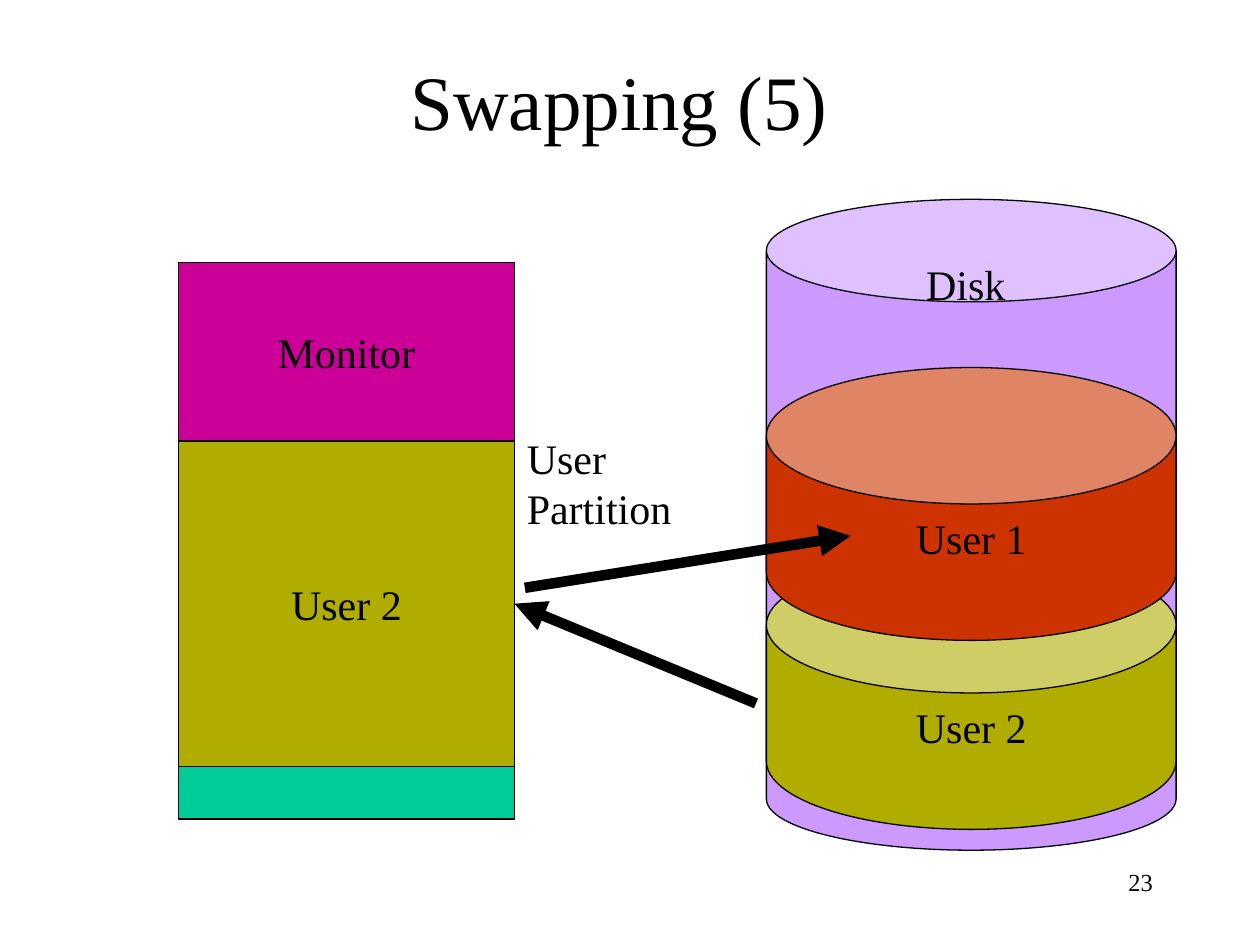
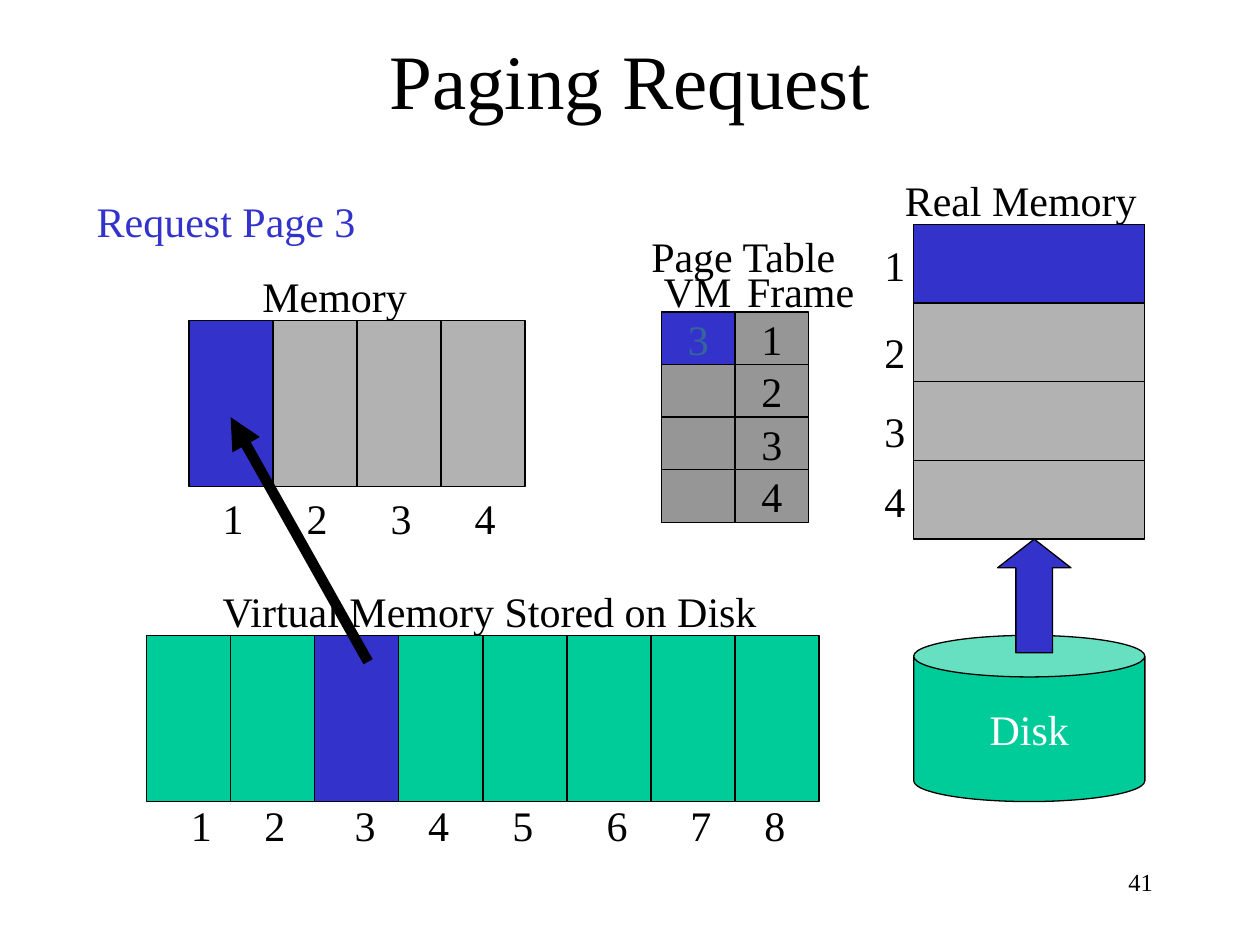
from dataclasses import dataclass

from lxml import etree
from pptx import Presentation
from pptx import util as u
from pptx.dml.color import RGBColor
from pptx.enum import shapes, text
from pptx.oxml import ns


@dataclass(frozen=True)
class Theme:
    font: str = "Times New Roman"
    title_size: int = 44
    body_size: int = 24
    number_size: int = 14
    outline: float = 0.75
    arrow: float = 6
    ink: str = "000000"
    paper: str = "FFFFFF"
    free: str = "00CC99"
    monitor: str = "CC0099"
    disk: str = "CC99FF"
    user_1: str = "CC3300"
    user_2: str = "B0AC00"
    active: str = "3333CC"
    active_text: str = "336699"
    frame: str = "B2B2B2"
    entry: str = "969696"


THEME = Theme()
RECT = shapes.MSO_SHAPE.RECTANGLE
CAN = shapes.MSO_SHAPE.CAN
UP_ARROW = shapes.MSO_SHAPE.UP_ARROW
LEFT, CENTER, RIGHT = (text.PP_ALIGN.LEFT, text.PP_ALIGN.CENTER,
                       text.PP_ALIGN.RIGHT)
MIDDLE, TOP = text.MSO_ANCHOR.MIDDLE, text.MSO_ANCHOR.TOP
LABEL_HEIGHT = 1.27
DIGIT_WIDTH = 0.91


def apply_format(target, values):
    for name, value in values.items():
        setattr(target, name, value)


def lengths(*values):
    return [u.Cm(value) for value in values]


def write(shape, words, align, anchor, size=THEME.body_size,
          color=THEME.ink, wrap=False):
    frame = shape.text_frame
    apply_format(frame, {"text": words, "word_wrap": wrap,
                         "vertical_anchor": anchor})
    for para in frame.paragraphs:
        para.alignment = align
        apply_format(para.font, {"name": THEME.font, "size": u.Pt(size)})
        para.font.color.rgb = RGBColor.from_string(color)


def add_text(page, words, area, align=LEFT, anchor=TOP, **style):
    box = page.shapes.add_textbox(*lengths(*area))
    write(box, words, align, anchor, **style)
    return box


def add_label(page, words, left, top, width, height=LABEL_HEIGHT, **style):
    box = add_text(page, words, (left, top, width, height), **style)
    box.text_frame.auto_size = text.MSO_AUTO_SIZE.SHAPE_TO_FIT_TEXT


def add_block(page, kind, area, fill, words="", color=THEME.ink, adjust=()):
    block = page.shapes.add_shape(kind, *lengths(*area))
    block.shadow.inherit = False
    block.fill.solid()
    block.fill.fore_color.rgb = RGBColor.from_string(fill)
    block.line.color.rgb = RGBColor.from_string(THEME.ink)
    block.line.width = u.Pt(THEME.outline)
    for index, value in enumerate(adjust):
        block.adjustments[index] = value
    if words:
        write(block, words, CENTER, MIDDLE, color=color)
    return block


def add_grid(page, left, top, width, height, fills, columns):
    for index, fill in enumerate(fills):
        row, column = divmod(index, columns)
        add_block(page, RECT, (left + column * width, top + row * height,
                               width, height), fill)


def add_arrow(page, start, end, target=None, side=0):
    arrow = page.shapes.add_connector(shapes.MSO_CONNECTOR.STRAIGHT,
                                      *lengths(*start, *end))
    if target is not None:
        arrow.end_connect(target, side)
    arrow.line.color.rgb = RGBColor.from_string(THEME.ink)
    arrow.line.width = u.Pt(THEME.arrow)
    etree.SubElement(arrow.line._get_or_add_ln(), ns.qn("a:tailEnd"),
                     type="triangle")
    etree.SubElement(arrow._element.spPr, ns.qn("a:effectLst"))


def add_page(deck, title, number, left, top):
    page = deck.slides.add_slide(deck.slide_layouts[6])
    add_text(page, title, (left, top, 21.59, 3.18), CENTER, MIDDLE,
             size=THEME.title_size, wrap=True)
    add_text(page, number, (18.2, 17.36, 5.29, LABEL_HEIGHT), RIGHT,
             size=THEME.number_size, wrap=True)
    return page


def build_swapping(deck):
    page = add_page(deck, "Swapping (5)", "23", 1.69, 0.42)
    memory_left, memory_width = 3.6, 6.77
    disk_left, disk_width = 15.45, 8.26

    add_block(page, RECT, (memory_left, 5.29, memory_width, 11.22),
              THEME.free)
    add_block(page, RECT, (memory_left, 5.29, memory_width, 3.6),
              THEME.monitor, "Monitor")
    partition = add_block(page, RECT, (memory_left, 8.89, memory_width, 6.56),
                          THEME.user_2, "User 2")
    add_label(page, "User\nPartition", 10.37, 8.59, 3.43, 2.29)

    add_block(page, CAN, (disk_left, 4.02, disk_width, 13.12), THEME.disk,
              adjust=(0.25,))
    add_label(page, "Disk", 18.42, 5.08, 2.12)
    for words, top, fill in (("User 2", 11.22, THEME.user_2),
                             ("User 1", 7.41, THEME.user_1)):
        add_block(page, CAN, (disk_left, top, disk_width, 5.5), fill, words,
                  adjust=(0.5,))

    add_arrow(page, (15.24, 14.18), (10.37, 12.17), partition, 3)
    add_arrow(page, (10.58, 11.85), (17.15, 10.8))


def build_page_table(page):
    left, top, width, height = 13.34, 6.29, 1.48, 1.06
    for row in range(4):
        y = top + row * height
        first = row == 0
        add_block(page, RECT, (left, y, width, height),
                  THEME.active if first else THEME.entry,
                  "3" if first else "", THEME.active_text)
        add_block(page, RECT, (left + width, y, width, height), THEME.entry,
                  str(row + 1))
    add_label(page, "Page Table", 12.88, 4.52, 4.29)
    add_label(page, "VM", 13.13, 5.23, 1.95)
    add_label(page, "Frame", 14.81, 5.23, 2.74, wrap=True)


def build_paging(deck):
    page = add_page(deck, "Paging Request", "41", 1.91, 0)
    cell_width, cell_height = 13.55 / 8, 3.35
    memory_left, memory_top = 3.81, 6.46
    disk_top = 12.81
    real_left, real_top, real_width, frame_height = 18.42, 4.52, 4.66, 6.35 / 4

    build_page_table(page)
    add_grid(page, real_left, real_top, real_width, frame_height,
             [THEME.active] + [THEME.frame] * 3, 1)
    add_grid(page, memory_left, memory_top, cell_width, cell_height,
             [THEME.active] + [THEME.frame] * 3, 4)
    add_grid(page, 2.96, disk_top, cell_width, cell_height,
             [THEME.free] * 2 + [THEME.active] + [THEME.free] * 5, 8)
    add_block(page, CAN, (real_left, disk_top, real_width, cell_height),
              THEME.free, "Disk", THEME.paper, (0.25,))

    for words, left, top, width in (
            ("Memory", 5.04, 5.33, 3.45),
            ("Virtual Memory Stored on Disk", 4.24, 11.67, 11.35),
            ("Real Memory", 17.99, 3.39, 5.2)):
        add_label(page, words, left, top, width)
    add_label(page, "Request Page 3", 1.7, 3.81, 5.74, color=THEME.active)

    disk_lefts = (3.6, 5.08, 6.9, 8.38, 10.08, 11.98, 13.67, 15.16)
    frame_tops = (4.7, 6.46, 8.05, 9.47)
    number_places = (
        [(left, 15.99) for left in disk_lefts],
        [(4.24 + index * cell_width, 9.81) for index in range(4)],
        [(17.58, top) for top in frame_tops],
    )
    for places in number_places:
        for number, (left, top) in enumerate(places, 1):
            add_label(page, str(number), left, top, DIGIT_WIDTH)

    add_arrow(page, (7.42, 13.34), (4.65, 8.41))
    add_block(page, UP_ARROW, (20.11, real_top + 4 * frame_height, 1.48, 2.29),
              THEME.active, adjust=(0.5, 0.39))


def main():
    deck = Presentation()
    apply_format(deck, {"slide_width": u.Cm(25.4),
                        "slide_height": u.Cm(19.05)})
    build_swapping(deck)
    build_paging(deck)
    deck.save("out.pptx")


if __name__ == "__main__":
    main()
